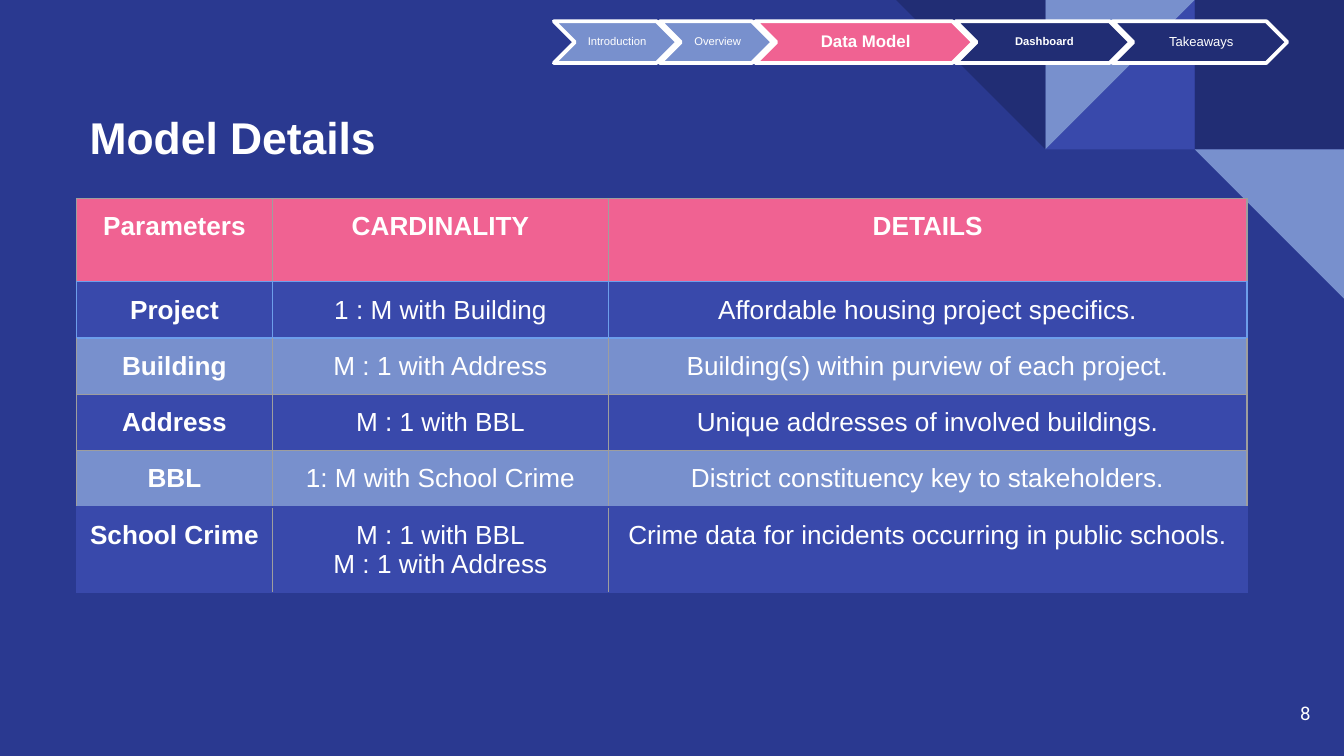
from lxml.etree import SubElement
from pptx import Presentation
from pptx.dml.color import RGBColor
from pptx.enum.shapes import MSO_SHAPE
from pptx.enum.text import MSO_ANCHOR, PP_ALIGN
from pptx.oxml.ns import qn
from pptx.util import Pt

NAVY, INDIGO, PERIWINKLE, PINK = "212D74", "3949AB", "7890CD", "F06292"
WHITE, GREY, SKY = "FFFFFF", "9E9E9E", "6D9EEB"


def rgb(value):
    return RGBColor.from_string(value)


def write(frame, text, size, bold=False, align=PP_ALIGN.CENTER, font="Arial",
          inset=7.2, spacing=None):
    frame.text = text
    frame.word_wrap = True
    frame.margin_left = frame.margin_right = Pt(inset)
    frame.margin_top = frame.margin_bottom = Pt(inset)
    for paragraph in frame.paragraphs:
        paragraph.alignment = align
        paragraph.line_spacing = spacing
        for run in paragraph.runs:
            run.font.name = font
            run.font.size = Pt(size)
            run.font.bold = bold
            run.font.color.rgb = rgb(WHITE)


deck = Presentation()
deck.slide_width, deck.slide_height = Pt(720), Pt(405)
slide = deck.slides.add_slide(deck.slide_layouts[6])
slide.background.fill.solid()
slide.background.fill.fore_color.rgb = rgb("2A3990")

# Corner mosaic: column, row, shape, rotation, colour
TILE = 80
mosaic = [
    (2, 0, MSO_SHAPE.RECTANGLE, 0, NAVY),
    (1, 0, MSO_SHAPE.RIGHT_TRIANGLE, 270, INDIGO),
    (1, 0, MSO_SHAPE.RIGHT_TRIANGLE, 90, PERIWINKLE),
    (0, 0, MSO_SHAPE.RIGHT_TRIANGLE, 180, NAVY),
    (2, 1, MSO_SHAPE.RIGHT_TRIANGLE, 180, PERIWINKLE),
]
for column, row, kind, rotation, colour in mosaic:
    tile = slide.shapes.add_shape(kind, Pt(480 + column * TILE), Pt(row * TILE),
                                  Pt(TILE), Pt(TILE))
    tile.rotation = rotation
    tile.shadow.inherit = False
    tile.fill.solid()
    tile.fill.fore_color.rgb = rgb(colour)
    tile.line.fill.background()

# Model table
rows = [
    ("Parameters", "CARDINALITY", "DETAILS"),
    ("Project", "1 : M with Building", "Affordable housing project specifics."),
    ("Building", "M : 1 with Address", "Building(s) within purview of each project."),
    ("Address", "M : 1 with BBL", "Unique addresses of involved buildings."),
    ("BBL", "1: M with School Crime", "District constituency key to stakeholders."),
    ("School Crime", "M : 1 with BBL\nM : 1 with Address",
     "Crime data for incidents occurring in public schools."),
]
column_widths = [105, 180, 342]
row_heights = [44.5] + [30.15] * 4 + [45.6]
row_fills = [PINK, INDIGO, PERIWINKLE, INDIGO, PERIWINKLE, INDIGO]
row_edges = [GREY, SKY, SKY, GREY, GREY, INDIGO, INDIGO]
outer_sides = [GREY, SKY, GREY, GREY, GREY, INDIGO]
inner_sides = [GREY, SKY, GREY, GREY, GREY, GREY]

model = slide.shapes.add_table(len(rows), len(column_widths), Pt(41), Pt(106.5),
                               Pt(sum(column_widths)), Pt(sum(row_heights))).table
for column, width in enumerate(column_widths):
    model.columns[column].width = Pt(width)
for row, texts in enumerate(rows):
    model.rows[row].height = Pt(row_heights[row])
    for column, text in enumerate(texts):
        cell = model.cell(row, column)
        write(cell.text_frame, text, 14, bold=row == 0 or column == 0)
        cell.margin_left = cell.margin_right = Pt(7.2)
        cell.margin_top = cell.margin_bottom = Pt(7.2)

        # Borders come before the fill in the cell properties
        properties = cell._tc.get_or_add_tcPr()
        left = outer_sides[row] if column == 0 else inner_sides[row]
        right = outer_sides[row] if column == 2 else inner_sides[row]
        inner_weight = 1 if row > 1 else 0.75
        borders = [
            ("a:lnL", left, inner_weight if column > 0 else 0.75),
            ("a:lnR", right, inner_weight if column < 2 else 0.75),
            ("a:lnT", row_edges[row], 0.75),
            ("a:lnB", row_edges[row + 1], 0.75),
        ]
        for tag, colour, weight in borders:
            border = SubElement(properties, qn(tag), w=str(Pt(weight)))
            SubElement(SubElement(border, qn("a:solidFill")), qn("a:srgbClr"), val=colour)
        cell.fill.solid()
        cell.fill.fore_color.rgb = rgb(row_fills[row])

# Title and page number
title = slide.shapes.add_textbox(Pt(41), Pt(44.6), Pt(402), Pt(57)).text_frame
write(title, "Model Details", 23.8, bold=True, align=PP_ALIGN.LEFT)
title.vertical_anchor = MSO_ANCHOR.MIDDLE
page_number = slide.shapes.add_textbox(Pt(666), Pt(366.5), Pt(43.2), Pt(31)).text_frame
write(page_number, "8", 10, align=PP_ALIGN.RIGHT, font="Roboto")
page_number.vertical_anchor = MSO_ANCHOR.MIDDLE

# Progress steps: label, left, width, colour, text size, bold
steps = [
    ("Introduction", 296.7, 66.2, PERIWINKLE, 6, False),
    ("Overview", 353.5, 60.5, PERIWINKLE, 6, False),
    ("Data Model", 404.7, 116.6, PINK, 9, True),
    ("Dashboard", 512, 93.6, NAVY, 6, True),
    ("Takeaways", 596, 93.6, NAVY, 7, False),
]
STEP_TOP, STEP_HEIGHT, POINT = 11.4, 22.4, 13.5
for label, left, width, colour, size, bold in steps:
    step = slide.shapes.add_shape(MSO_SHAPE.CHEVRON, Pt(left), Pt(STEP_TOP),
                                  Pt(width), Pt(STEP_HEIGHT))
    step.shadow.inherit = False
    step.fill.solid()
    step.fill.fore_color.rgb = rgb(colour)
    step.line.color.rgb = rgb(WHITE)
    step.line.width = Pt(2)
    caption = slide.shapes.add_textbox(Pt(left + POINT), Pt(STEP_TOP),
                                       Pt(width - 2 * POINT), Pt(STEP_HEIGHT)).text_frame
    write(caption, label, size, bold, inset=0.7, spacing=0.9)
    caption.margin_left = Pt(2.2)
    caption.vertical_anchor = MSO_ANCHOR.MIDDLE

deck.save("out.pptx")
